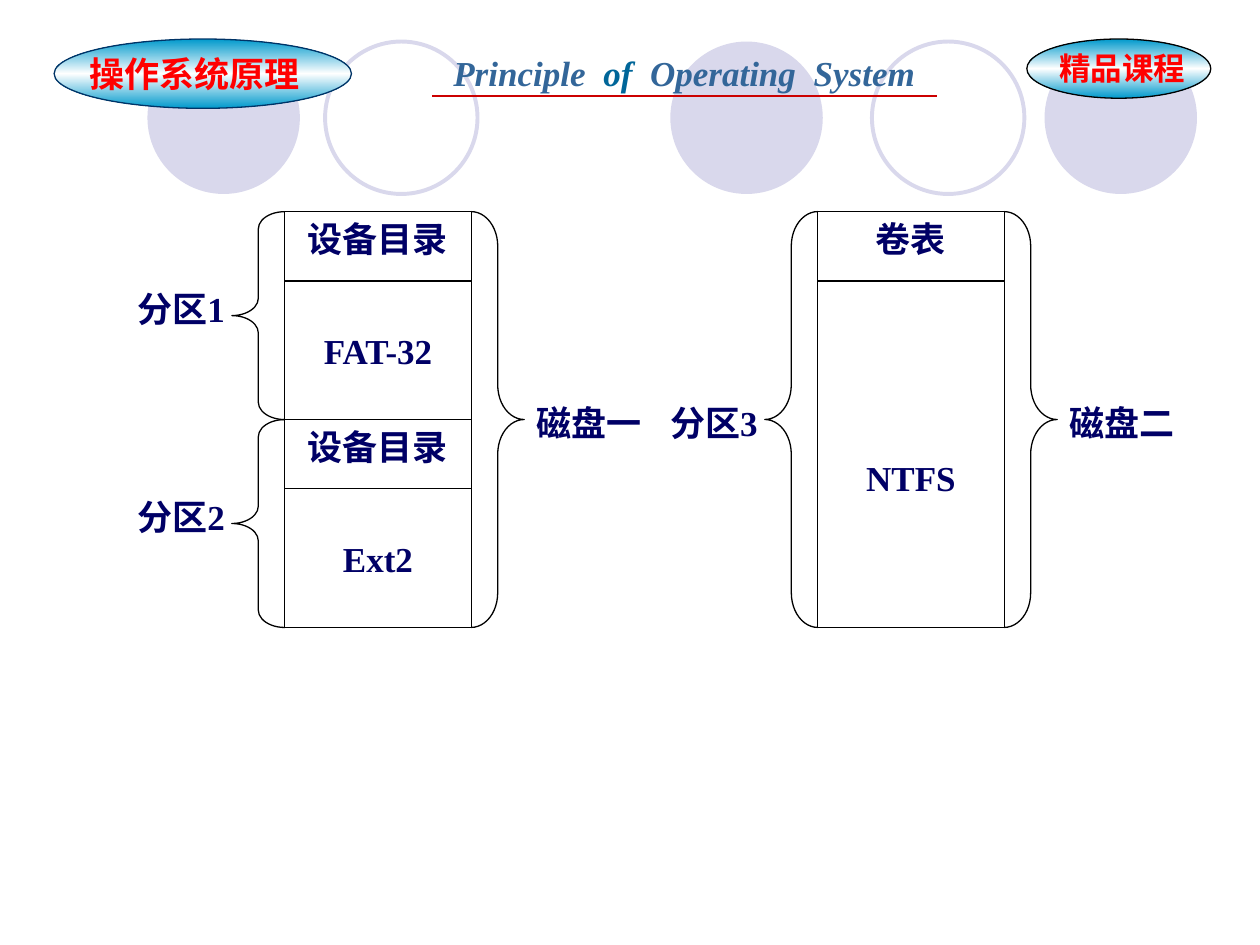
from dataclasses import dataclass

from lxml.etree import SubElement
from pptx import Presentation
from pptx.dml.color import RGBColor as Color
from pptx.enum.shapes import MSO_CONNECTOR as Connector, MSO_SHAPE as Shape
from pptx.enum.text import MSO_ANCHOR as Anchor, PP_ALIGN as Align
from pptx.oxml.ns import qn
from pptx.util import Inches, Pt


@dataclass(frozen=True)
class Theme:
    circle: str = "D9D8EC"
    badge_edge: str = "0099CC"
    badge_middle: str = "FFFFFF"
    navy: str = "003366"
    black: str = "000000"
    red: str = "FF0000"
    rule: str = "CC0000"
    title: str = "336699"
    title_accent: str = "006699"
    label: str = "000066"
    serif: str = "Times New Roman"
    sans: str = "Arial"
    size: int = 20
    small_size: int = 18
    thin: float = 0.75
    thick: float = 2.25


THEME = Theme()

# Diagram grid
TOP, UNIT = 1.68, 0.55
CELL_WIDTH, BRACE_WIDTH, LABEL_WIDTH = 1.48, 0.42, 1.06
DISK_HEIGHT = 6 * UNIT


def add_outline(slide, kind, box, line=None, fill=None, width=THEME.thin):
    shape = slide.shapes.add_shape(kind, *map(Inches, box))
    shape.shadow.inherit = False
    if fill:
        shape.fill.solid()
        shape.fill.fore_color.rgb = Color.from_string(fill)
    else:
        shape.fill.background()
    if line:
        shape.line.color.rgb = Color.from_string(line)
        shape.line.width = Pt(width)
    else:
        shape.line.fill.background()
    return shape


def add_run(paragraph, text, color=THEME.label, size=THEME.size,
            font=THEME.serif, italic=False):
    run = paragraph.add_run()
    run.text = text
    run.font.name = font
    run.font.size = Pt(size)
    run.font.bold = True
    run.font.italic = italic
    run.font.color.rgb = Color.from_string(color)
    return run


def prepare_frame(shape, align=Align.LEFT, anchor=Anchor.TOP):
    frame = shape.text_frame
    frame.word_wrap = True
    frame.vertical_anchor = anchor
    paragraph = frame.paragraphs[0]
    paragraph.alignment = align
    return paragraph


def add_label(slide, box, text, **style):
    shape = slide.shapes.add_textbox(*map(Inches, box))
    add_run(prepare_frame(shape), text, **style)


def add_cell(slide, box, text, anchor=Anchor.TOP, drop=0):
    shape = add_outline(slide, Shape.RECTANGLE, box, THEME.black)
    add_run(prepare_frame(shape, Align.CENTER, anchor), text)
    shape.text_frame.margin_top = Inches(0.05 + drop)


def add_brace(slide, kind, left, top, height):
    shape = add_outline(slide, kind, (left, top, BRACE_WIDTH, height), THEME.black)
    shape.adjustments[0] = height / 12 / BRACE_WIDTH


def add_badge(slide, box, line):
    shape = add_outline(slide, Shape.OVAL, box, line)
    shape.fill.gradient()
    shape.fill.gradient_angle = 90
    # Three stops: edge, middle, edge
    stops = shape.fill._fill._gradFill.find(qn("a:gsLst"))
    for stop in list(stops):
        stops.remove(stop)
    colors = (THEME.badge_edge, THEME.badge_middle, THEME.badge_edge)
    for index, color in enumerate(colors):
        stop = SubElement(stops, qn("a:gs"), pos=str(index * 50000))
        SubElement(stop, qn("a:srgbClr"), val=color)


def add_title(slide):
    shape = slide.shapes.add_textbox(*map(Inches, (3.5, 0.36, 4.1, 0.44)))
    paragraph = prepare_frame(shape)
    words = ("Principle", "of", "Operating", "System")
    for index, word in enumerate(words):
        if index:
            # Widened word gap
            gap = add_run(paragraph, " ", THEME.title, italic=True)
            gap.font._element.set("spc", "500")
        color = THEME.title_accent if word == "of" else THEME.title
        add_run(paragraph, word, color, italic=True)
    # Rule under the title
    rule = slide.shapes.add_connector(
        Connector.STRAIGHT, *map(Inches, (3.43, 0.76, 7.44, 0.76)))
    rule.line.color.rgb = Color.from_string(THEME.rule)
    rule.line.width = Pt(1)
    SubElement(rule._element.spPr, qn("a:effectLst"))


def add_header(slide):
    # Background circles
    for left, filled in ((5.32, True), (8.29, True), (1.17, True),
                         (6.92, False), (2.58, False)):
        style = {"fill": THEME.circle} if filled else {
            "line": THEME.circle, "width": THEME.thick}
        add_outline(slide, Shape.OVAL, (left, 0.33, 1.21, 1.21), **style)
    # Badges and title
    add_badge(slide, (0.43, 0.31, 2.36, 0.55), THEME.navy)
    add_label(slide, (0.61, 0.37, 1.95, 0.44), "操作系统原理", color=THEME.red)
    add_title(slide)
    add_badge(slide, (8.15, 0.31, 1.46, 0.47), THEME.black)
    add_label(slide, (8.31, 0.34, 1.38, 0.4), "精品课程", color=THEME.red,
              size=THEME.small_size, font=THEME.sans)


def add_partition(slide, left, top, height, directory, system, drop=0):
    add_cell(slide, (left, top, CELL_WIDTH, UNIT), directory)
    add_cell(slide, (left, top + UNIT, CELL_WIDTH, height - UNIT), system,
             Anchor.MIDDLE, drop)
    add_brace(slide, Shape.LEFT_BRACE, left - BRACE_WIDTH, top, height)


def add_disk(slide, left, name):
    right = left + CELL_WIDTH
    add_brace(slide, Shape.RIGHT_BRACE, right, TOP, DISK_HEIGHT)
    add_label(slide, (right + BRACE_WIDTH, 3.14, LABEL_WIDTH, 0.73), name)


def main():
    presentation = Presentation()
    presentation.slide_width = Inches(10)
    presentation.slide_height = Inches(7.5)
    slide = presentation.slides.add_slide(presentation.slide_layouts[6])
    add_header(slide)

    # First disk: two stacked partitions
    first, second = 2.26, 6.49
    half = DISK_HEIGHT / 2
    for index, system in enumerate(("FAT-32", "Ext2")):
        top = TOP + index * half
        add_partition(slide, first, top, half, "设备目录", system)
        add_label(slide, (0.99, top + UNIT, LABEL_WIDTH, UNIT), f"分区{index + 1}")
    add_disk(slide, first, "磁盘一")

    # Second disk: one partition
    add_partition(slide, second, TOP, DISK_HEIGHT, "卷表", "NTFS", drop=0.37)
    add_label(slide, (5.22, 3.14, LABEL_WIDTH, UNIT), "分区3")
    add_disk(slide, second, "磁盘二")

    presentation.save("out.pptx")


main()
